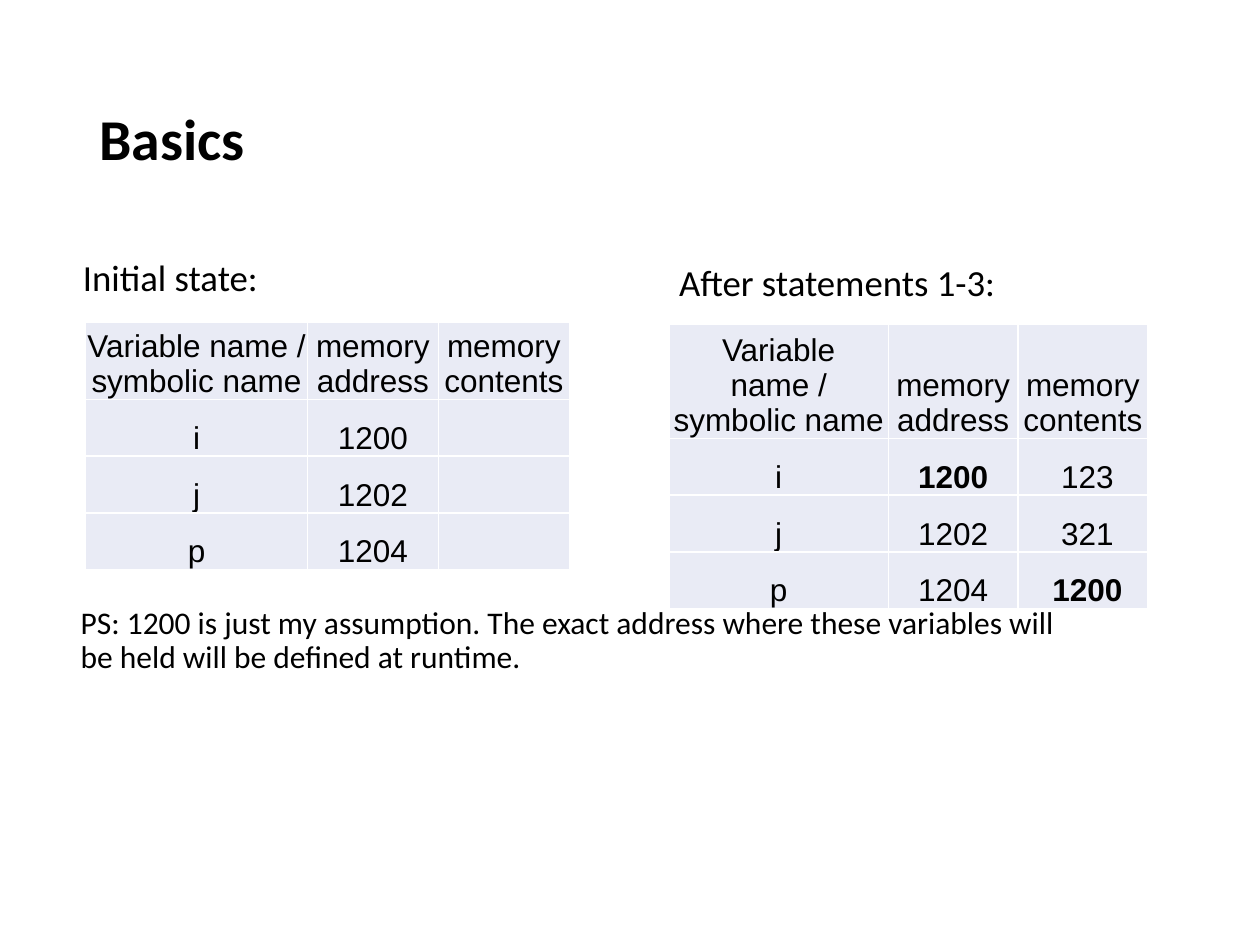
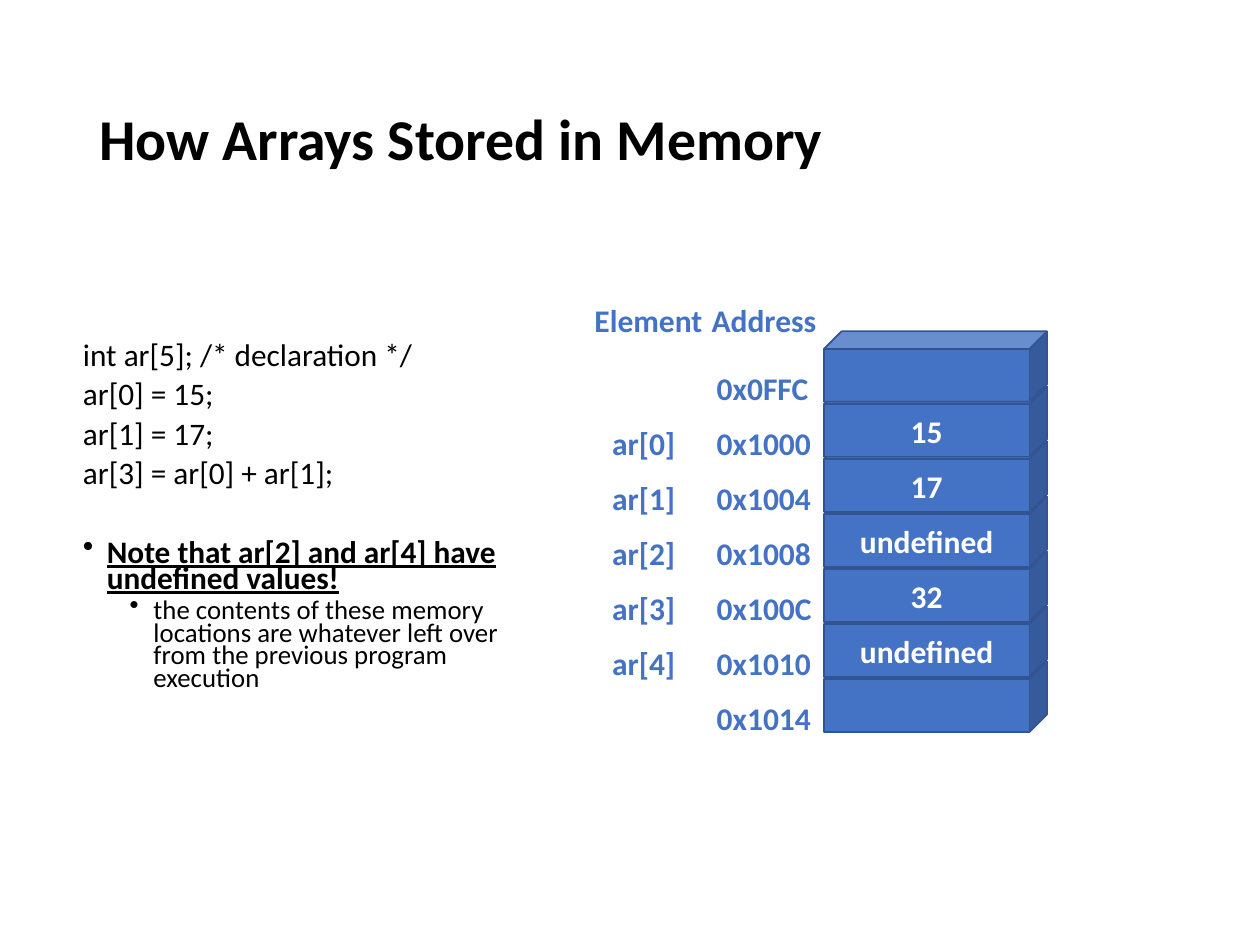
import dataclasses

import pptx
import pptx.dml.color
import pptx.enum.shapes
import pptx.enum.text
import pptx.oxml
import pptx.oxml.ns
import pptx.util

Inches = pptx.util.Inches
Pt = pptx.util.Pt
ALIGN = pptx.enum.text.PP_ALIGN
ANCHOR = pptx.enum.text.MSO_ANCHOR
NS = pptx.oxml.ns.nsdecls("a")


@dataclasses.dataclass(frozen=True)
class Theme:
    ink: str = "000000"
    paper: str = "FFFFFF"
    blue: str = "4472C4"
    edge: str = "325491"
    cell: str = "E9EBF5"
    font: str = "Calibri"
    grid_font: str = "Arial"
    title: float = 33
    head: float = 21
    text: float = 18
    code: float = 17.9
    sub: float = 15.3


THEME = Theme()


def rgb(color):
    return pptx.dml.color.RGBColor.from_string(color)


def style(para, size, color=THEME.ink, bold=False, name=THEME.font):
    font = para.font
    font.size, font.bold, font.name = Pt(size), bold, name
    font.color.rgb = rgb(color)


def add_box(shapes, area, wrap=True, inset=(0.1, 0.05)):
    frame = shapes.add_textbox(*map(Inches, area)).text_frame
    frame.word_wrap = wrap
    frame.margin_left = frame.margin_right = Inches(inset[0])
    frame.margin_top = frame.margin_bottom = Inches(inset[1])
    return frame


def add_title(slide, text):
    frame = add_box(slide.shapes, (0.69, 0.4, 8.62, 1.45))
    frame.vertical_anchor = ANCHOR.MIDDLE
    para = frame.paragraphs[0]
    para.text = text
    para.line_spacing = 0.9
    style(para, THEME.title, bold=True)


def add_note(slide, text, area, size, pitch=0.9, inset=(0.07, 0.04)):
    para = add_box(slide.shapes, area, inset=inset).paragraphs[0]
    para.text = text
    para.line_spacing = pitch
    style(para, size)


def add_edges(cell):
    props = cell._tc.get_or_add_tcPr()
    for side in "LRTB":
        props.append(pptx.oxml.parse_xml(
            f'<a:ln{side} {NS} w="12700"><a:solidFill>'
            f'<a:srgbClr val="{THEME.paper}"/></a:solidFill></a:ln{side}>'))


def fill_cell(cell, text, bold, left):
    add_edges(cell)
    cell.fill.solid()
    cell.fill.fore_color.rgb = rgb(THEME.cell)
    cell.vertical_anchor = ANCHOR.BOTTOM
    cell.margin_left = Inches(left)
    cell.margin_right = cell.margin_top = Inches(0.01)
    cell.margin_bottom = 0
    para = cell.text_frame.paragraphs[0]
    para.text = text
    para.alignment = ALIGN.CENTER
    style(para, THEME.text, bold=bold, name=THEME.grid_font)


def add_grid(slide, left, top, widths, values, bold=()):
    heads = ("Variable name / symbolic name", "memory address", "memory contents")
    names = zip("ijp", ("1200", "1202", "1204"), values)
    rows = [heads, *names]
    heights = [0.59] + [0.45] * 3
    area = (left, top, sum(widths), sum(heights))
    table = slide.shapes.add_table(len(rows), len(heads), *map(Inches, area)).table
    table.first_row = table.horz_banding = False
    for column, width in zip(table.columns, widths):
        column.width = Inches(width)
    for r, row in enumerate(rows):
        table.rows[r].height = Inches(heights[r])
        for c, text in enumerate(row):
            inset = 0.08 if r and c == 2 else 0.01
            fill_cell(table.cell(r, c), text, (r, c) in bold, inset)


def add_bullet(para, left):
    props = para._p.get_or_add_pPr()
    props.set("marL", str(Inches(left)))
    props.set("indent", str(Inches(-0.19)))
    props.append(pptx.oxml.parse_xml(f'<a:buChar {NS} char="•"/>'))


def add_code(slide, lines, note, detail):
    frame = add_box(slide.shapes, (0.56, 2.69, 3.89, 2.99))
    items = [(line, THEME.code, 7.5, None) for line in lines]
    items += [(note, THEME.code, 30, 0.19), (detail, THEME.sub, 3.8, 0.56)]
    for n, (text, size, gap, left) in enumerate(items):
        para = frame.add_paragraph() if n else frame.paragraphs[0]
        para.text = text
        para.line_spacing = 0.7
        if n:
            para.space_before = Pt(gap)
        if left:
            add_bullet(para, left)
        style(para, size, bold=text == note)
        if text == note:
            para.font.underline = True
        if text == detail:
            para.level = 1


def add_label(shapes, text, left, top, width):
    para = add_box(shapes, (left, top, width, 0.4), wrap=False).paragraphs[0]
    para.text = text
    style(para, THEME.text, THEME.blue, True)


def add_cube(shapes, text, top):
    cube = shapes.add_shape(pptx.enum.shapes.MSO_SHAPE.CUBE,
                            *map(Inches, (6.54, top, 1.77, 0.56)))
    cube.shadow.inherit = False
    cube.fill.solid()
    cube.fill.fore_color.rgb = rgb(THEME.blue)
    cube.line.color.rgb = rgb(THEME.edge)
    cube.line.width = Pt(1)
    if text:
        cube.text_frame.vertical_anchor = ANCHOR.MIDDLE
        para = cube.text_frame.paragraphs[0]
        para.text = text
        para.alignment = ALIGN.CENTER
        style(para, THEME.text, THEME.paper, True)


def add_stack(slide, cells):
    shapes = slide.shapes.add_group_shape().shapes
    first, last = 2.63, 5.25
    step = (last - first) / (len(cells) - 1)
    tops = [first + n * step for n in range(len(cells))]
    for top, (name, place, value) in reversed(list(zip(tops, cells))):
        add_cube(shapes, value, top)
    for top, (name, place, value) in zip(tops, cells):
        add_label(shapes, place, 5.59, top + 0.25, 0.96)
        if name:
            add_label(shapes, name, 4.76, top + 0.25, 0.71)
    add_label(shapes, "Element", 4.62, 2.34, 1.06)
    add_label(shapes, "Address", 5.55, 2.34, 1.04)


def add_slide(deck, title):
    slide = deck.slides.add_slide(deck.slide_layouts[6])
    add_title(slide, title)
    return slide


def make_basics(deck):
    slide = add_slide(deck, "Basics")
    add_note(slide, "Initial state:", (0.56, 2.04, 3.7, 0.4), THEME.head,
             0.8, (0.1, 0.05))
    add_grid(slide, 0.68, 2.56, (1.76, 1.04, 1.04), ("", "", ""))
    add_note(slide, "After statements 1-3:", (5.32, 2.06, 3.7, 0.4), THEME.head)
    add_grid(slide, 5.31, 2.57, (1.74, 1.03, 1.03), ("123", "321", "1200"),
             bold=((1, 1), (3, 2)))
    add_note(slide, "PS: 1200 is just my assumption. The exact address where these "
             "variables will be held will be defined at runtime.",
             (0.57, 4.78, 7.92, 0.82), THEME.text)


def make_arrays(deck):
    slide = add_slide(deck, "How Arrays Stored in Memory")
    add_code(slide,
             ("int ar[5]; /* declaration */", "ar[0] = 15;", "ar[1] = 17;",
              "ar[3] = ar[0] + ar[1];"),
             "Note that ar[2] and ar[4] have undefined values!",
             "the contents of these memory locations are whatever left over "
             "from the previous program execution")
    add_stack(slide, (
        ("", "0x0FFC", ""),
        ("ar[0]", "0x1000", "15"),
        ("ar[1]", "0x1004", "17"),
        ("ar[2]", "0x1008", "undefined"),
        ("ar[3]", "0x100C", "32"),
        ("ar[4]", "0x1010", "undefined"),
        ("", "0x1014", "")))


def main():
    deck = pptx.Presentation()
    deck.slide_width, deck.slide_height = Inches(10), Inches(7.5)
    make_basics(deck)
    make_arrays(deck)
    deck.save("out.pptx")


if __name__ == "__main__":
    main()
